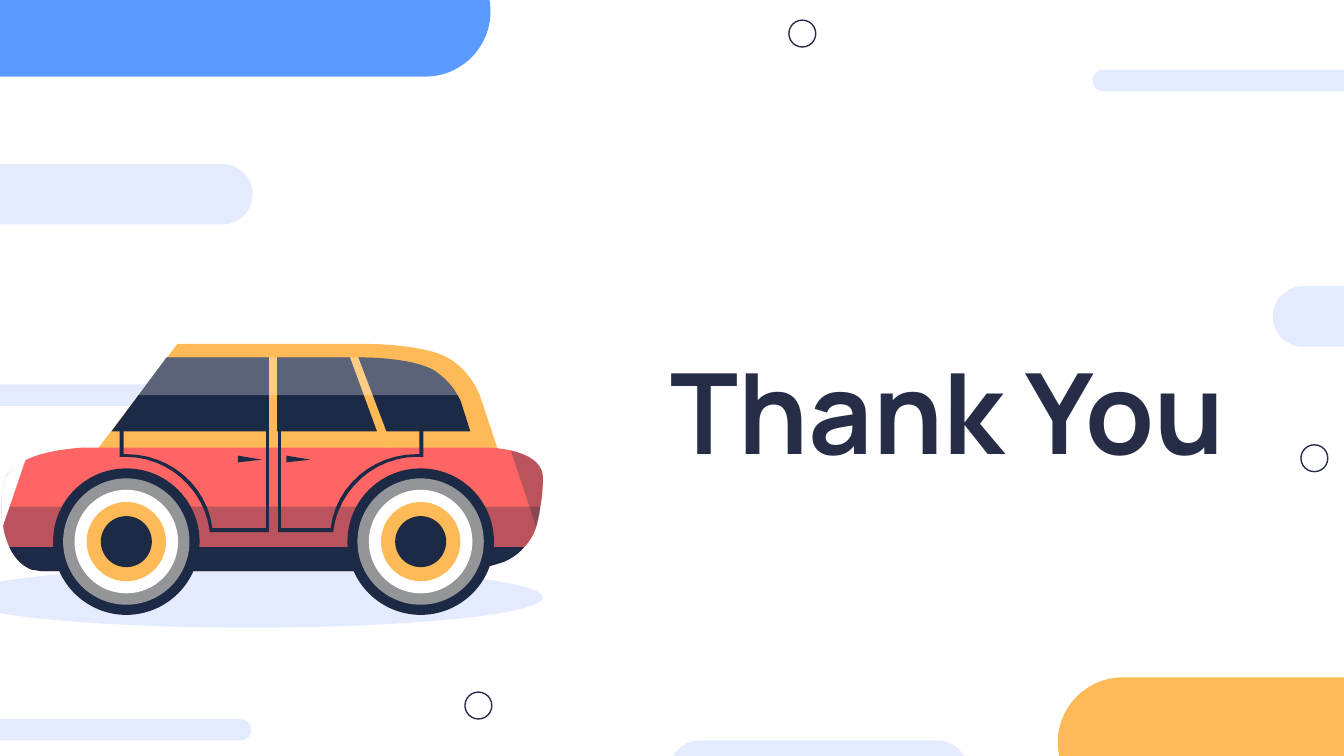
from pptx import Presentation
from pptx.dml.color import RGBColor
from pptx.enum.shapes import MSO_SHAPE
from pptx.enum.text import MSO_ANCHOR, PP_ALIGN
from pptx.oxml.ns import qn
from pptx.util import Cm, Pt
from lxml.etree import SubElement

HUES = {
    "blue": "5A9AFF", "pale": "E4EBFF", "gold": "FFBA58", "ink": "262E47",
    "navy": "1D2A46", "red": "FF6565", "grey": "939598", "white": "FFFFFF",
}
FONT = "Manrope"
STEPS = 12

HEM = [(0.27, 4.24, 0.29, 4.25, 0.32, 4.25), (3.4, 4.25),
       (3.4, 4.25, 3.45, 4.25, 3.53, 4.24), (3.54, 4.24, 3.56, 4.23, 3.57, 4.23),
       (3.62, 4.22, 3.69, 4.2, 3.75, 4.18)]
NOSE = (3.91, 4.1, 3.97, 3.99, 3.99, 3.92)
TAIL = (0.03, 3.96, 0.08, 4.19, 0.24, 4.24)
FRONT = (4.02, 3.79, 4.04, 3.68, 4.04, 3.57)

ROOF = [(1.32, 2.56), (0.66, 3.43), (3.72, 3.39), (3.57, 2.94),
        (3.54, 2.87, 3.48, 2.75, 3.33, 2.66), (3.14, 2.56, 2.74, 2.56, 2.74, 2.56)]
BODY = [(0.65, 3.33), (0.64, 3.33, 0.09, 3.34, 0.03, 3.59),
        (0, 3.72, 0.01, 3.85, 0.03, 3.95), TAIL, *HEM, NOSE, FRONT,
        (4.04, 3.55), (4.03, 3.34, 3.65, 3.33, 3.62, 3.33)]
SHADE = [(0.01, 3.77), (0.01, 3.84, 0.02, 3.9, 0.03, 3.95), TAIL, *HEM, NOSE,
         (4.01, 3.87, 4.02, 3.82, 4.02, 3.77)]
LAMP = [(3.8, 3.35), (3.99, 3.92), FRONT, (4.04, 3.55),
        (4.04, 3.43, 3.91, 3.38, 3.8, 3.35)]
SILL = [(0.07, 4.07), (0.1, 4.14, 0.16, 4.21, 0.24, 4.24), *HEM,
        (3.82, 4.15, 3.87, 4.11, 3.9, 4.07)]
REAR = [(0.19, 3.42), (0.11, 3.46, 0.05, 3.52, 0.03, 3.59),
        (0, 3.7, 0.01, 3.82, 0.02, 3.92)]
ARCH = (3.05, 2.66, 2.7, 2.66, 2.7, 2.66)
GLASS = [(1.24, 2.66), (0.83, 3.21), (3.5, 3.21), (3.43, 2.99),
         (3.41, 2.94, 3.35, 2.83, 3.22, 2.75), ARCH]
GLARE = [(1.24, 2.66), (1.03, 2.94), (3.41, 2.94),
         (3.37, 2.89, 3.32, 2.81, 3.22, 2.75), ARCH]
POSTS = [[(2, 2.59), (2, 3.33), (2.06, 3.33), (2.06, 2.59)],
         [(2.58, 2.59), (2.85, 3.33), (2.92, 3.33), (2.64, 2.59)]]


def inch(size):
    return Cm(size * 2.54)


def hue(name):
    return RGBColor.from_string(HUES[name])


def paint(shape, fill=None, line=None, alpha=None):
    shape.shadow.inherit = False
    if fill:
        shape.fill.solid()
        shape.fill.fore_color.rgb = hue(fill)
    else:
        shape.fill.background()
    if line:
        shape.line.color.rgb = hue(line)
        shape.line.width = Pt(0.75)
    else:
        shape.line.fill.background()
    if alpha:
        tint = shape.fill._xPr.find(qn("a:solidFill"))[0]
        SubElement(tint, qn("a:alpha")).set("val", str(alpha * 1000))


def pill(shapes, left, top, width, height, fill):
    shape = shapes.add_shape(MSO_SHAPE.ROUNDED_RECTANGLE,
                             *map(inch, (left, top, width, height)))
    shape.adjustments[0] = 0.5
    paint(shape, fill)


def oval(shapes, left, top, width, height, fill=None, line=None):
    shape = shapes.add_shape(MSO_SHAPE.OVAL,
                             *map(inch, (left, top, width, height)))
    paint(shape, fill, line)


def trace(path):
    dots = [path[0]]
    for part in path[1:]:
        if len(part) == 2:
            dots.append(part)
            continue
        a, b, c, d = dots[-1], part[:2], part[2:4], part[4:]
        for step in range(1, STEPS + 1):
            t = step / STEPS
            u = 1 - t
            dots.append(tuple(
                u**3 * a[i] + 3 * u * u * t * b[i] + 3 * u * t * t * c[i] + t**3 * d[i]
                for i in (0, 1)))
    return [(inch(x), inch(y)) for x, y in dots]


def form(shapes, path, fill, alpha=None):
    dots = trace(path)
    pen = shapes.build_freeform(*dots[0])
    pen.add_line_segments(dots[1:], close=True)
    paint(pen.convert_to_shape(), fill, alpha=alpha)


def wheel(shapes, mid):
    rings = [(1.09, "navy"), (0.94, "grey"), (0.77, "white"),
             (0.59, "gold"), (0.38, "navy")]
    for size, fill in rings:
        oval(shapes, mid - size / 2, 4.03 - size / 2, size, size, fill)


def door(shapes, side, seam, way):
    def at(gap):
        return side + way * gap

    edge = seam - way * 0.02
    path = [(side, 3.16), (side, 3.4), (at(0.05), 3.4),
            (at(0.36), 3.4, at(0.63), 3.64, at(0.67), 3.95), (at(0.67), 3.96),
            (seam, 3.96), (seam, 3.16), (edge, 3.16), (edge, 3.93),
            (at(0.69), 3.93), (at(0.65), 3.61, at(0.37), 3.38, at(0.05), 3.38),
            (at(0.03), 3.38), (at(0.03), 3.16)]
    form(shapes, path, "navy")


def car(slide):
    shapes = slide.shapes.add_group_shape().shapes
    form(shapes, ROOF, "gold")
    form(shapes, BODY, "red")
    form(shapes, SHADE, "navy", 30)
    form(shapes, LAMP, "navy", 30)
    form(shapes, SILL, "navy")
    form(shapes, REAR, "white")
    for mid in (0.94, 3.13):
        wheel(shapes, mid)
    form(shapes, GLASS, "navy")
    for post in POSTS:
        form(shapes, post, "gold")
    form(shapes, GLARE, "white", 27)
    door(shapes, 0.89, 2, 1)
    door(shapes, 3.15, 2.07, -1)
    for left in (1.77, 2.13):
        form(shapes, [(left, 3.39), (left, 3.44), (left + 0.18, 3.42)], "navy")


def decor(shapes):
    pill(shapes, -0.62, -0.4, 4.27, 0.97, "blue")
    pill(shapes, 7.87, 5.04, 3.81, 0.97, "gold")
    for left, top in ((8.13, 0.52), (-1.94, 5.35), (-2.13, 2.86)):
        pill(shapes, left, top, 3.81, 0.16, "pale")
    for left, top in ((-0.34, 1.22), (4.98, 5.51), (9.47, 2.13)):
        pill(shapes, left, top, 2.22, 0.45, "pale")
    for left, top in ((3.46, 5.15), (5.87, 0.15), (9.68, 3.31)):
        oval(shapes, left, top, 0.2, 0.2, line="ink")


def title(shapes, words):
    box = shapes.add_textbox(*map(inch, (4.67, 1.87, 4.54, 1.78)))
    frame = box.text_frame
    frame.word_wrap = True
    frame.vertical_anchor = MSO_ANCHOR.BOTTOM
    frame.margin_left = frame.margin_right = inch(0.1)
    frame.margin_top = frame.margin_bottom = inch(0.1)
    para = frame.paragraphs[0]
    para.alignment = PP_ALIGN.RIGHT
    run = para.add_run()
    run.text = words
    run.font.name = FONT
    run.font.size = Pt(60)
    run.font.bold = True
    run.font.color.rgb = hue("ink")


def main():
    deck = Presentation()
    deck.slide_width, deck.slide_height = inch(10), inch(5.625)
    slide = deck.slides.add_slide(deck.slide_layouts[6])
    decor(slide.shapes)
    title(slide.shapes, "Thank You")
    oval(slide.shapes, -0.32, 4.22, 4.36, 0.45, "pale")
    car(slide)
    deck.save("out.pptx")


if __name__ == "__main__":
    main()
